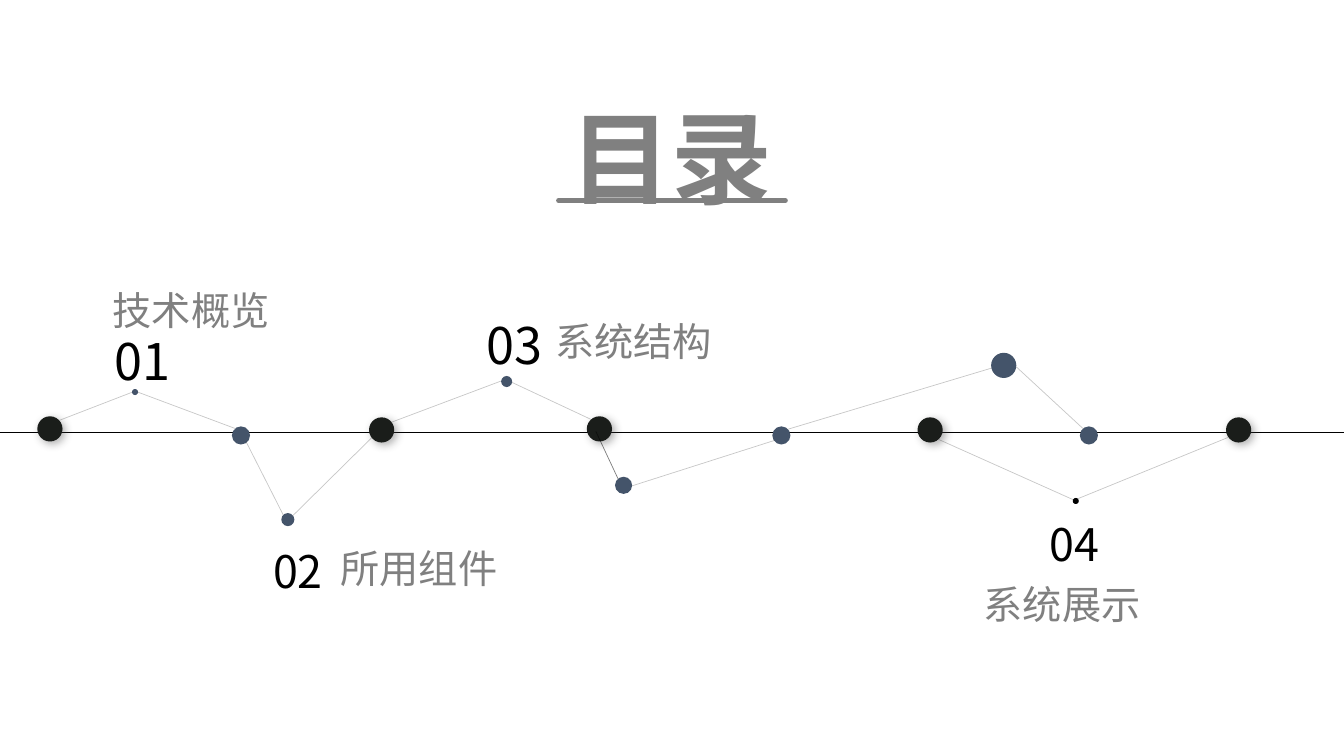
import dataclasses
import typing

import pptx
import pptx.dml.color
import pptx.enum.shapes
import pptx.enum.text
import pptx.oxml
import pptx.oxml.ns
import pptx.oxml.xmlchemy
import pptx.slide
import pptx.util

Inches = pptx.util.Inches
Pt = pptx.util.Pt
Align = pptx.enum.text.PP_ALIGN
Anchor = pptx.enum.text.MSO_ANCHOR


@dataclasses.dataclass(frozen=True)
class Theme:
    font: str = "Noto Sans CJK SC"
    grey: str = "808080"
    black: str = "000000"
    ink: str = "1A1D1A"
    slate: str = "44546A"
    shadow: str = "404040"
    title_size: int = 72
    upper_number_size: int = 36
    lower_number_size: int = 32
    label_size: int = 28


THEME = Theme()


class Dot(typing.NamedTuple):
    left: float
    top: float
    size: float
    color: str = THEME.slate
    shadow: bool = False


class Line(typing.NamedTuple):
    x1: float
    y1: float
    x2: float
    y2: float
    opacity: int = 21
    width: float = 0.5
    color: str = THEME.black
    round_cap: bool = False


class Caption(typing.NamedTuple):
    text: str
    left: float
    top: float
    width: float
    height: float
    size: int
    color: str = THEME.grey
    align: Align = Align.LEFT
    anchor: Anchor = Anchor.TOP
    bold: bool = False
    spacing: float = 1.0


class Chapter(typing.NamedTuple):
    number: str
    number_left: float
    number_top: float
    number_size: int
    label: str
    label_left: float
    label_top: float


RULES = [
    Line(5.54, 1.99, 7.79, 1.99, 100, 3.5, THEME.grey, True),
    Line(0, 4.29, 13.33, 4.29, 100, 0.75),
]

# Dots on the timeline axis
AXIS_DOTS = [Dot(left, 4.23, 0.18) for left in (2.3, 7.66, 10.71)] + [
    Dot(left, top, 0.25, THEME.ink, True)
    for left, top in ((0.37, 4.13), (3.66, 4.14), (5.82, 4.13), (9.1, 4.14), (12.16, 4.14))
]

# Zigzag links between the axis and the peaks
LINKS = [
    Line(0.59, 4.17, 1.34, 3.88),
    Line(1.34, 3.88, 2.33, 4.25),
    Line(2.44, 4.38, 2.81, 5.11),
    Line(2.9, 5.12, 3.69, 4.34),
    Line(3.88, 4.19, 4.97, 3.78),
    Line(5.86, 4.16, 5.07, 3.79),
    Line(5.91, 4.28, 6.13, 4.75, 51),
    Line(7.68, 4.37, 6.27, 4.82),
    Line(9.84, 3.65, 7.81, 4.26),
    Line(10.74, 4.25, 10.08, 3.64),
    Line(10.65, 4.96, 9.31, 4.36),
    Line(12.18, 4.34, 10.66, 4.96),
]

PEAK_DOTS = [
    Dot(1.31, 3.86, 0.06),
    Dot(2.79, 5.09, 0.13),
    Dot(4.97, 3.73, 0.11),
    Dot(6.1, 4.73, 0.17),
    Dot(9.83, 3.5, 0.25),
    Dot(10.64, 4.94, 0.06, THEME.black),
]

CHAPTERS = [
    Chapter("01", 0.45, 3.23, THEME.upper_number_size, "技术概览", 1.02, 2.79),
    Chapter("02", 1.99, 5.34, THEME.lower_number_size, "所用组件", 3.28, 5.35),
    Chapter("03", 4.14, 3.07, THEME.upper_number_size, "系统结构", 5.41, 3.1),
    Chapter("04", 9.69, 5.08, THEME.lower_number_size, "系统展示", 9.66, 5.71),
]

TITLE = Caption("目录", 4.2, 0.4, 4.92, 1.7, THEME.title_size, align=Align.CENTER,
                anchor=Anchor.MIDDLE, bold=True, spacing=1.5)


def rgb(color: str) -> pptx.dml.color.RGBColor:
    return pptx.dml.color.RGBColor.from_string(color)


def add_line(slide: pptx.slide.Slide, line: Line) -> None:
    connector = slide.shapes.add_connector(
        pptx.enum.shapes.MSO_CONNECTOR.STRAIGHT,
        Inches(line.x1), Inches(line.y1), Inches(line.x2), Inches(line.y2))
    connector.line.width = Pt(line.width)
    connector.line.color.rgb = rgb(line.color)
    properties = connector._element.spPr
    if line.round_cap:
        properties.find(pptx.oxml.ns.qn("a:ln")).set("cap", "rnd")
    if line.opacity < 100:
        color = next(properties.iter(pptx.oxml.ns.qn("a:srgbClr")))
        alpha = pptx.oxml.xmlchemy.OxmlElement("a:alpha")
        alpha.set("val", str(line.opacity * 1000))
        color.append(alpha)
    properties.append(pptx.oxml.xmlchemy.OxmlElement("a:effectLst"))


def add_dot(slide: pptx.slide.Slide, dot: Dot) -> None:
    circle = slide.shapes.add_shape(
        pptx.enum.shapes.MSO_SHAPE.OVAL,
        Inches(dot.left), Inches(dot.top), Inches(dot.size), Inches(dot.size))
    circle.fill.solid()
    circle.fill.fore_color.rgb = rgb(dot.color)
    circle.line.fill.background()
    circle.shadow.inherit = False
    if dot.shadow:
        effects = circle._element.spPr.find(pptx.oxml.ns.qn("a:effectLst"))
        effects.append(pptx.oxml.parse_xml(
            f'<a:outerShdw {pptx.oxml.ns.nsdecls("a")} blurRad="{Pt(6)}" dist="{Pt(3)}" '
            f'dir="{45 * 60000}" rotWithShape="0"><a:srgbClr val="{THEME.shadow}">'
            '<a:alpha val="40000"/></a:srgbClr></a:outerShdw>'))


def add_caption(slide: pptx.slide.Slide, caption: Caption) -> None:
    box = slide.shapes.add_textbox(
        Inches(caption.left), Inches(caption.top), Inches(caption.width), Inches(caption.height))
    frame = box.text_frame
    frame.text = caption.text
    frame.word_wrap = True
    frame.auto_size = pptx.enum.text.MSO_AUTO_SIZE.SHAPE_TO_FIT_TEXT
    frame.vertical_anchor = caption.anchor
    paragraph = frame.paragraphs[0]
    paragraph.alignment = caption.align
    paragraph.line_spacing = caption.spacing
    font = paragraph.runs[0].font
    font.size = Pt(caption.size)
    font.bold = caption.bold
    font.color.rgb = rgb(caption.color)
    font.name = THEME.font
    east_asian = pptx.oxml.xmlchemy.OxmlElement("a:ea")
    east_asian.set("typeface", THEME.font)
    font._element.find(pptx.oxml.ns.qn("a:latin")).addnext(east_asian)


def add_chapter(slide: pptx.slide.Slide, chapter: Chapter) -> None:
    number_height = 0.71 if chapter.number_size == THEME.upper_number_size else 0.64
    add_caption(slide, Caption(chapter.number, chapter.number_left, chapter.number_top, 1.93,
                               number_height, chapter.number_size, THEME.black, Align.CENTER))
    add_caption(slide, Caption(chapter.label, chapter.label_left, chapter.label_top, 3.04,
                               0.57, THEME.label_size))


def main() -> None:
    deck = pptx.Presentation()
    deck.slide_width, deck.slide_height = Inches(13.33), Inches(7.5)
    slide = deck.slides.add_slide(deck.slide_layouts[6])

    # Timeline, from back to front
    for rule in RULES:
        add_line(slide, rule)
    for dot in AXIS_DOTS:
        add_dot(slide, dot)
    for link in LINKS:
        add_line(slide, link)
    for dot in PEAK_DOTS:
        add_dot(slide, dot)

    # Chapter captions and title
    for chapter in CHAPTERS:
        add_chapter(slide, chapter)
    add_caption(slide, TITLE)
    deck.save("out.pptx")


if __name__ == "__main__":
    main()
